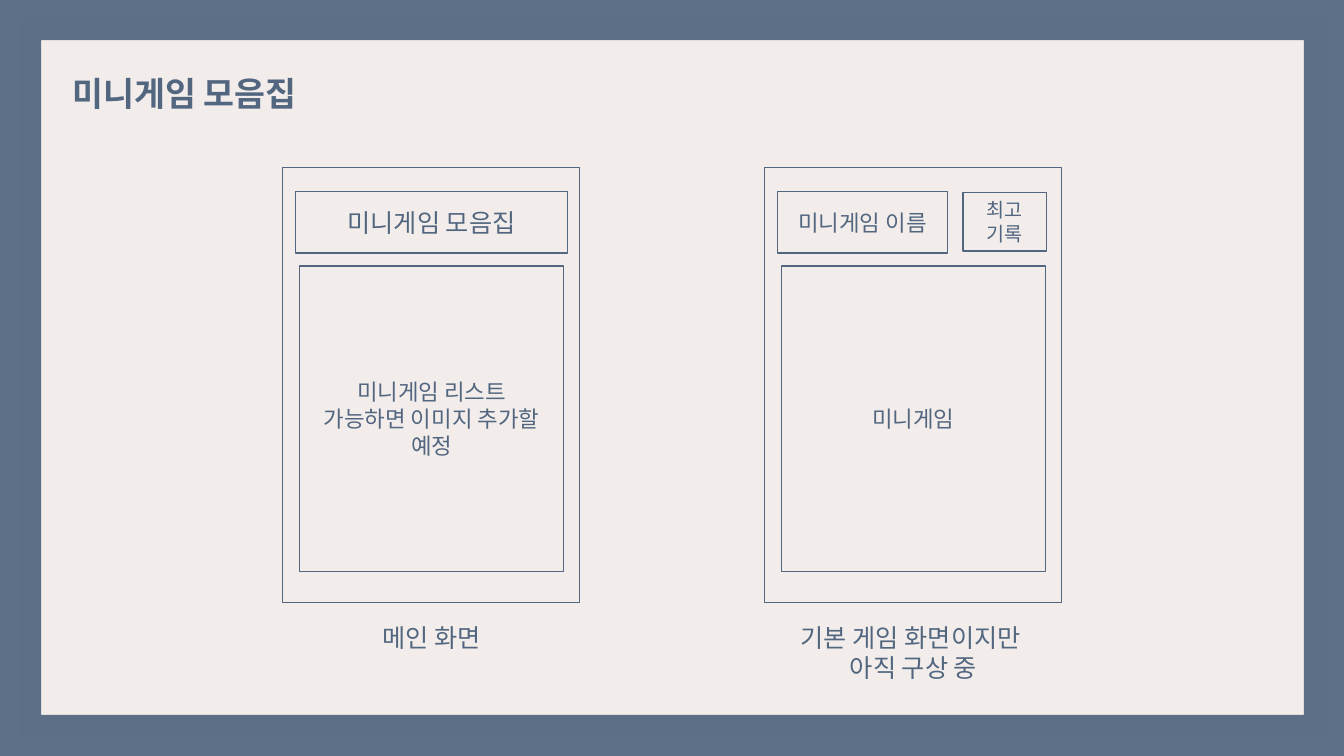
import pptx
import pptx.util
import pptx.dml.color
import pptx.enum.shapes
import pptx.enum.text
import pptx.oxml
import pptx.oxml.ns

Inches, Pt = pptx.util.Inches, pptx.util.Pt
Align = pptx.enum.text.PP_ALIGN
Anchor = pptx.enum.text.MSO_ANCHOR

BLUE = pptx.dml.color.RGBColor(0x52, 0x66, 0x80)
CREAM = pptx.dml.color.RGBColor(0xF2, 0xED, 0xEA)
FONT = "Noto Sans CJK KR"
LINE_HEIGHT = 1.2

# Content: panels are (left, top, width, height, text size, lines),
# placed relative to the top left corner of their screen
TITLE = ["미니게임 모음집"]
SCREENS = [
    {
        "left": 2.8,
        "panels": [
            (0.13, 0.24, 2.7, 0.61, 18, ["미니게임 모음집"]),
            (0.17, 0.98, 2.62, 3.03, 16,
             ["미니게임 리스트", "가능하면 이미지 추가할 예정"]),
        ],
        "caption": (0.83, 1.3, 0.4, ["메인 화면"]),
    },
    {
        "left": 7.58,
        "panels": [
            (0.13, 0.24, 1.69, 0.61, 16, ["미니게임 이름"]),
            (0.17, 0.98, 2.62, 3.03, 16, ["미니게임"]),
            (1.97, 0.25, 0.83, 0.58, 14, ["최고 기록"]),
        ],
        "caption": (0.11, 2.74, 0.71, ["기본 게임 화면이지만 ", "아직 구상 중"]),
    },
]
SCREEN_TOP, SCREEN_WIDTH, SCREEN_HEIGHT = 1.66, 2.95, 4.32
CAPTION_TOP = 6.12


def add_xml(parent, tag, **attributes):
    element = pptx.oxml.parse_xml(
        f"<a:{tag} {pptx.oxml.ns.nsdecls('a')}/>")
    for name, value in attributes.items():
        element.set(name, value)
    parent.append(element)


def write(frame, lines, size, align, bold=False):
    for index, line in enumerate(lines):
        para = frame.paragraphs[0] if index == 0 else frame.add_paragraph()
        para.alignment = align
        para.line_spacing = Pt(size * LINE_HEIGHT)
        span = para.add_run()
        span.text = line
        span.font.name = FONT
        span.font.size = Pt(size)
        span.font.bold = bold
        span.font.color.rgb = BLUE
        add_xml(span.font._element, "ea", typeface=FONT)


def add_box(shapes, left, top, width, height, line_width=1, fill=None):
    box = shapes.add_shape(
        pptx.enum.shapes.MSO_SHAPE.RECTANGLE,
        Inches(left), Inches(top), Inches(width), Inches(height))
    box.shadow.inherit = False
    if fill is None:
        box.fill.background()
    else:
        box.fill.solid()
        box.fill.fore_color.rgb = fill
    box.line.color.rgb = BLUE
    box.line.width = Pt(line_width)
    return box


def add_label(shapes, left, top, width, height, lines, size, align, bold=False):
    label = shapes.add_textbox(
        Inches(left), Inches(top), Inches(width), Inches(height))
    label.text_frame.word_wrap = False
    label.text_frame.auto_size = pptx.enum.text.MSO_AUTO_SIZE.SHAPE_TO_FIT_TEXT
    write(label.text_frame, lines, size, align, bold)


deck = pptx.Presentation()
deck.slide_width, deck.slide_height = Inches(13.33), Inches(7.5)
page = deck.slides.add_slide(deck.slide_layouts[6])

# Page frame with a wide, slightly transparent border
border = add_box(page.shapes, 0.2, 0.19, 12.94, 7.11, 30, CREAM)
outline = border.line._get_or_add_ln()
add_xml(outline.find(".//" + pptx.oxml.ns.qn("a:srgbClr")), "alpha", val="93000")
add_xml(outline, "miter", lim="800000")

# Title
add_label(page.shapes, 0.62, 0.67, 2.68, 0.5, TITLE, 24, Align.LEFT, bold=True)

# Screen sketches with their captions
for screen in SCREENS:
    group = page.shapes.add_group_shape()
    left = screen["left"]
    add_box(group.shapes, left, SCREEN_TOP, SCREEN_WIDTH, SCREEN_HEIGHT)
    for x, y, width, height, size, lines in screen["panels"]:
        panel = add_box(group.shapes, left + x, SCREEN_TOP + y, width, height)
        panel.text_frame.word_wrap = True
        panel.text_frame.vertical_anchor = Anchor.MIDDLE
        write(panel.text_frame, lines, size, Align.CENTER)
    x, width, height, lines = screen["caption"]
    add_label(group.shapes, left + x, CAPTION_TOP, width, height,
              lines, 18, Align.CENTER)

deck.save("out.pptx")
